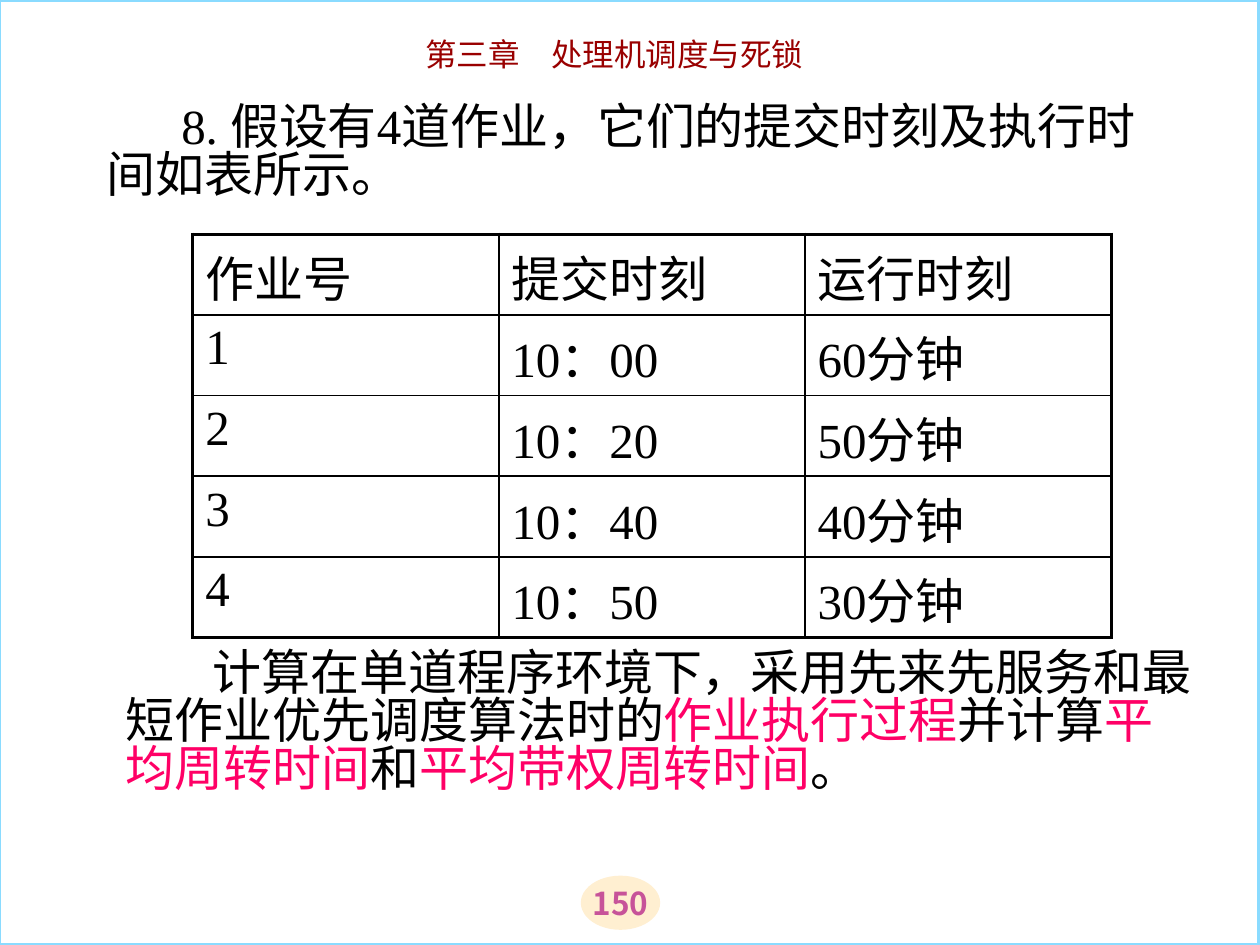
import pptx
import pptx.util
import pptx.dml.color
import pptx.enum.shapes
import pptx.enum.text
import pptx.oxml
import pptx.oxml.ns

Inches = pptx.util.Inches
Pt = pptx.util.Pt
ALIGN = pptx.enum.text.PP_ALIGN
ANCHOR = pptx.enum.text.MSO_ANCHOR
SHAPE = pptx.enum.shapes.MSO_SHAPE

SANS = "Noto Sans CJK SC"
TITLE_FONT = "Noto Sans CJK JP"
SERIF = "Times New Roman"
BLACK = "000000"
PINK = "FF0066"

JOBS = [
    ["作业号", "提交时刻", "运行时刻"],
    ["1", "10：00", "60分钟"],
    ["2", "10：20", "50分钟"],
    ["3", "10：40", "40分钟"],
    ["4", "10：50", "30分钟"],
]
TASK = [
    ("计算在单道程序环境下，采用先来先服务和最短作业优先调度算法时的", BLACK),
    ("作业执行过程", PINK),
    ("并计算", BLACK),
    ("平均周转时间", PINK),
    ("和", BLACK),
    ("平均带权周转时间", PINK),
    ("。", BLACK),
]


def rgb(color):
    return pptx.dml.color.RGBColor.from_string(color)


def format_run(r, size, color, font, east_asian=SANS, bold=False):
    r.font.size = Pt(size)
    r.font.name = font
    r.font.bold = bold
    r.font.color.rgb = rgb(color)
    ea = pptx.oxml.parse_xml(
        f'<a:ea {pptx.oxml.ns.nsdecls("a")} typeface="{east_asian}"/>')
    r.font._element.find(pptx.oxml.ns.qn("a:latin")).addnext(ea)


def add_shape(slide, kind, box, fill=None, line=None):
    sp = slide.shapes.add_shape(kind, *map(Inches, box))
    sp.shadow.inherit = False
    if fill:
        sp.fill.solid()
        sp.fill.fore_color.rgb = rgb(fill)
    else:
        sp.fill.background()
    if line:
        sp.line.color.rgb = rgb(line)
        sp.line.width = Pt(2.25)
    else:
        sp.line.fill.background()
    return sp


def add_page_number(slide, box, text):
    tf = add_shape(slide, SHAPE.OVAL, box, fill="FFEFD1").text_frame
    tf.margin_left = tf.margin_right = tf.margin_top = tf.margin_bottom = 0
    tf.vertical_anchor = ANCHOR.MIDDLE
    tf.text = text
    p = tf.paragraphs[0]
    p.alignment = ALIGN.CENTER
    format_run(p.runs[0], 18, "C75399", SANS, bold=True)


def add_text(slide, box):
    tf = slide.shapes.add_textbox(*map(Inches, box)).text_frame
    tf.word_wrap = True
    return tf


def add_title(slide, box, text):
    tf = add_text(slide, box)
    tf.text = text
    p = tf.paragraphs[0]
    p.alignment = ALIGN.CENTER
    format_run(p.runs[0], 18, "990000", TITLE_FONT, TITLE_FONT)


def add_body(slide, box, indent, parts):
    tf = add_text(slide, box)
    tf.margin_top = Inches(0.08)
    p = tf.paragraphs[0]
    p.line_spacing = 0.82
    p._p.get_or_add_pPr().set("indent", str(Inches(indent)))
    for text, color in parts:
        r = p.add_run()
        r.text = text
        format_run(r, 28, color, SERIF)


def set_borders(cell, widths):
    tcPr = cell._tc.get_or_add_tcPr()
    for i, (side, width) in enumerate(widths.items()):
        tcPr.insert(i, pptx.oxml.parse_xml(
            f'<a:ln{side} {pptx.oxml.ns.nsdecls("a")} w="{Pt(width)}">'
            f'<a:solidFill><a:srgbClr val="{BLACK}"/></a:solidFill>'
            f'</a:ln{side}>'))


def add_job_table(slide, left, top, col_width, row_height, data):
    rows, cols = len(data), len(data[0])
    table = slide.shapes.add_table(
        rows, cols, Inches(left), Inches(top),
        Inches(col_width * cols), Inches(row_height * rows)).table
    table.first_row = table.horz_banding = False
    for column in table.columns:
        column.width = Inches(col_width)
    for i, row in enumerate(data):
        table.rows[i].height = Inches(row_height)
        for j, text in enumerate(row):
            cell = table.cell(i, j)
            cell.fill.background()
            cell.text = text
            format_run(cell.text_frame.paragraphs[0].runs[0], 28, BLACK, SERIF)
            outer = {"L": j == 0, "R": j == cols - 1,
                     "T": i == 0, "B": i == rows - 1}
            set_borders(cell, {k: 2.25 if v else 1 for k, v in outer.items()})


def main():
    prs = pptx.Presentation()
    prs.slide_width, prs.slide_height = Inches(10), Inches(7.5)
    s = prs.slides.add_slide(prs.slide_layouts[6])
    add_page_number(s, (4.61, 6.95, 0.63, 0.43), "150")
    add_shape(s, SHAPE.RECTANGLE, (-0.01, 0, 10, 7.5), line="8ADBFF")
    add_title(s, (2.08, 0.23, 5.59, 0.4), "第三章　处理机调度与死锁")
    add_body(s, (0.75, 0.76, 8.58, 1.58), 0.59,
             [("8. 假设有4道作业，它们的提交时刻及执行时间如表所示。", BLACK)])
    add_job_table(s, 1.53, 1.86, 2.43, 0.64, JOBS)
    add_body(s, (0.9, 5.09, 8.66, 1.51), 0.69, TASK)
    prs.save("out.pptx")


if __name__ == "__main__":
    main()
